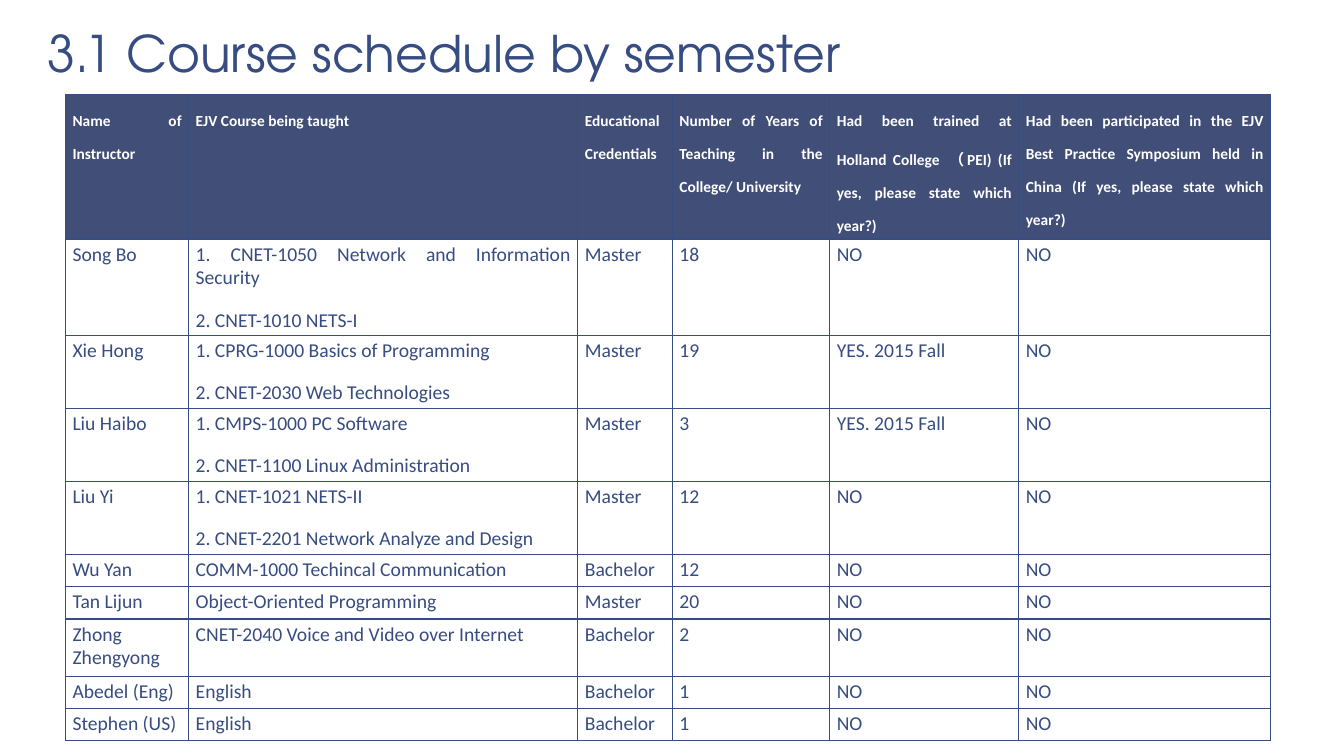
from lxml import etree
from pptx import Presentation
from pptx.dml.color import RGBColor
from pptx.enum.text import MSO_ANCHOR, MSO_AUTO_SIZE, PP_ALIGN
from pptx.oxml.ns import qn
from pptx.util import Pt

BLUE = RGBColor(0x37, 0x4C, 0x81)
NAVY = RGBColor(0x41, 0x4E, 0x77)
WHITE = RGBColor(0xFF, 0xFF, 0xFF)
LEFT = PP_ALIGN.LEFT
JUSTIFY = PP_ALIGN.JUSTIFY
BOTTOM = MSO_ANCHOR.BOTTOM
NO_FIT = MSO_AUTO_SIZE.NONE

HEADS = (
    "Name of Instructor",
    "EJV Course being taught",
    "Educational Credentials",
    "Number of Years of Teaching in the College/ University",
    "Had been trained at Holland College （PEI) (If yes, please state which year?)",
    "Had been participated in the EJV Best Practice Symposium held in China "
    "(If yes, please state which year?)",
)
STAFF = (
    ("Song Bo", "1. CNET-1050 Network and Information Security\n2. CNET-1010 NETS-I",
     "Master", "18", "NO", "NO"),
    ("Xie Hong", "1. CPRG-1000 Basics of Programming\n2. CNET-2030 Web Technologies",
     "Master", "19", "YES. 2015 Fall", "NO"),
    ("Liu Haibo", "1. CMPS-1000 PC Software\n2. CNET-1100 Linux Administration",
     "Master", "3", "YES. 2015 Fall", "NO"),
    ("Liu Yi", "1. CNET-1021 NETS-II\n2. CNET-2201 Network Analyze and Design",
     "Master", "12", "NO", "NO"),
    ("Wu Yan", "COMM-1000 Techincal Communication", "Bachelor", "12", "NO", "NO"),
    ("Tan Lijun", "Object-Oriented Programming", "Master", "20", "NO", "NO"),
    ("Zhong Zhengyong", "CNET-2040 Voice and Video over Internet",
     "Bachelor", "2", "NO", "NO"),
    ("Abedel (Eng)", "English", "Bachelor", "1", "NO", "NO"),
    ("Stephen (US)", "English", "Bachelor", "1", "NO", "NO"),
)
WIDTHS = (88, 278, 67.5, 112.5, 135, 180)
HEIGHTS = (96, 41, 50, 50, 50, 23, 23, 41, 23, 23)


def set_font(para, name, size, color, bold=False):
    for run in para.runs:
        run.font.name = name
        run.font.size = Pt(size)
        run.font.bold = bold
        run.font.color.rgb = color


def add_title(slide, text, left, top, width, height):
    title = slide.shapes.title
    title.left, title.top = Pt(left), Pt(top)
    title.width, title.height = Pt(width), Pt(height)
    frame = title.text_frame
    frame.text = text
    frame.word_wrap = True
    frame.auto_size = NO_FIT
    frame.vertical_anchor = BOTTOM
    frame.margin_left = frame.margin_right = Pt(9.4)
    frame.margin_top = frame.margin_bottom = Pt(5)
    para = frame.paragraphs[0]
    para.alignment = LEFT
    para.line_spacing = 0.85
    set_font(para, "TeX Gyre Adventor", 36, BLUE)


def add_border(cell):
    props = cell._tc.get_or_add_tcPr()
    for side in ("lnL", "lnR", "lnT", "lnB"):
        line = etree.SubElement(props, qn("a:" + side), w=str(Pt(1)))
        fill = etree.SubElement(line, qn("a:solidFill"))
        etree.SubElement(fill, qn("a:srgbClr"), val=str(BLUE))


def fill_cell(cell, text, head):
    cell.text = text
    cell.margin_left = cell.margin_right = Pt(5)
    cell.margin_top = cell.margin_bottom = Pt(2.5)
    add_border(cell)
    if head:
        cell.fill.solid()
        cell.fill.fore_color.rgb = NAVY
    else:
        cell.fill.background()
    for i, para in enumerate(cell.text_frame.paragraphs):
        para.alignment = JUSTIFY
        if i:
            para.space_before = Pt(13)
        if head:
            para.line_spacing = 1.73
            para.space_after = Pt(13)
            set_font(para, "Calibri", 11, WHITE, True)
        else:
            set_font(para, "Calibri", 14, BLUE)


def add_staff(slide, left, top):
    rows = (HEADS,) + STAFF
    table = slide.shapes.add_table(
        len(rows), len(HEADS), Pt(left), Pt(top),
        Pt(sum(WIDTHS)), Pt(sum(HEIGHTS))).table
    table.horz_banding = False
    for col, width in zip(table.columns, WIDTHS):
        col.width = Pt(width)
    for r, (texts, height) in enumerate(zip(rows, HEIGHTS)):
        table.rows[r].height = Pt(height)
        for c, text in enumerate(texts):
            fill_cell(table.cell(r, c), text, r == 0)


def main():
    deck = Presentation()
    deck.slide_width, deck.slide_height = Pt(960), Pt(540)
    slide = deck.slides.add_slide(deck.slide_layouts[5])
    add_title(slide, "3.1 Course schedule by semester", 24.5, 16.5, 918, 48)
    add_staff(slide, 46.8, 67.7)
    deck.save("out.pptx")


if __name__ == "__main__":
    main()
